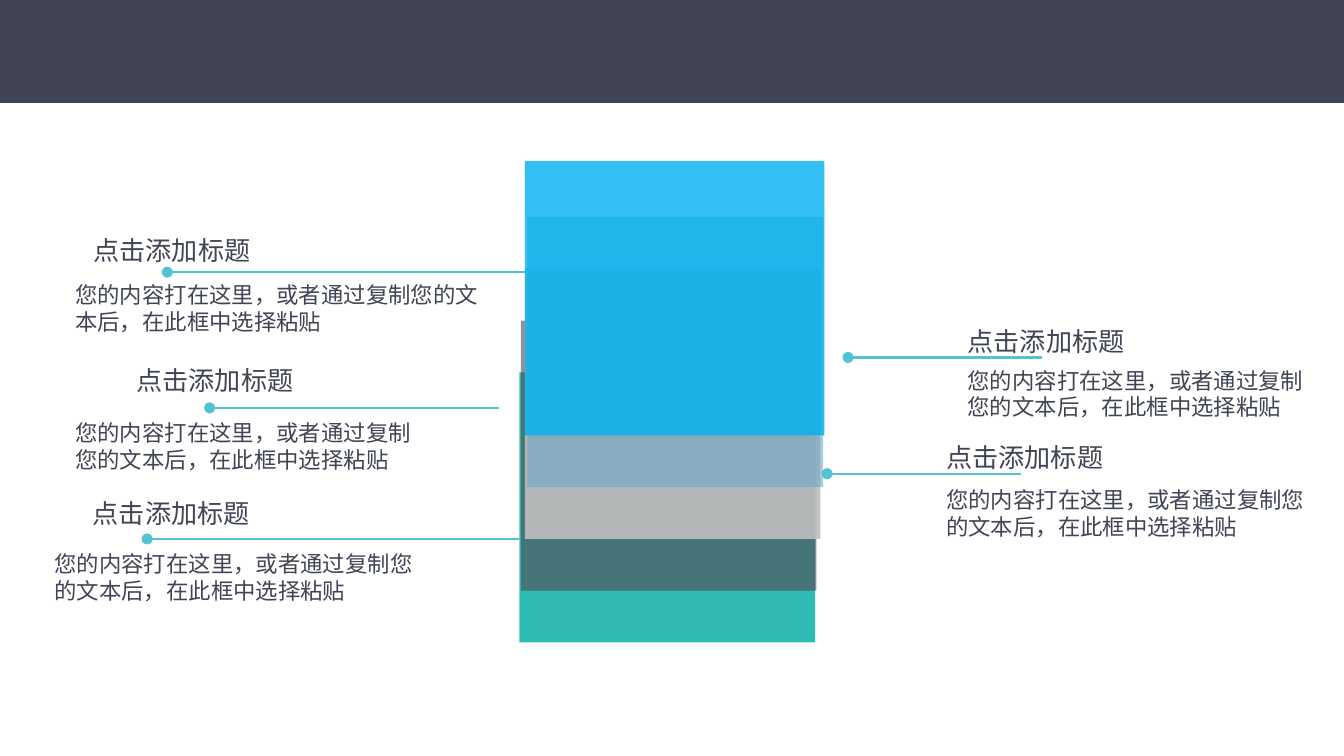
from lxml.etree import SubElement
from pptx import Presentation
from pptx.dml.color import RGBColor
from pptx.enum.shapes import MSO_CONNECTOR, MSO_SHAPE
from pptx.enum.text import MSO_AUTO_SIZE
from pptx.oxml.ns import qn
from pptx.util import Pt

PX = 4572  # EMU per px, 200 px to the inch
WIDTH, HEIGHT = 2000, 1125
FONT = "Noto Sans CJK SC"
INSET = 10

NAVY = RGBColor(0x41, 0x44, 0x55)
AQUA = RGBColor(0x54, 0xC3, 0xD1)
TEAL = RGBColor(0x30, 0xBA, 0xB4)
PLUM = RGBColor(0x53, 0x47, 0x51)
GREY = RGBColor(0xBF, 0xBF, 0xBF)
STEEL = RGBColor(0x64, 0xA4, 0xC7)
BLUE = RGBColor(0x00, 0xB0, 0xF0)

TITLE = "点击添加标题"
BODY = "您的内容打在这里，或者通过复制您的文本后，在此框中选择粘贴"
TITLE_H, BODY_H = 76, 114
TITLE_PT, BODY_PT = 14, 12

# left, top, width, height, colour, opacity in percent; back to front
PANELS = [
    (0, 0, WIDTH, 153, NAVY, 100),
    (773, 554, 440, 402, TEAL, 100),
    (775, 477, 440, 402, PLUM, 60),
    (781, 400, 440, 402, GREY, 90),
    (785, 323, 440, 402, STEEL, 55),
    (781, 240, 446, 408, BLUE, 80),
]

# title and body: left, top, width; line: start x, end x, y
CALLOUTS = [
    {"title": (129, 339, 368), "body": (102, 409, 628), "line": (249, 782, 405)},
    {"title": (1430, 474, 406), "body": (1430, 536, 546), "line": (1262, 1550, 532)},
    {"title": (1398, 647, 376), "body": (1398, 714, 578), "line": (1231, 1520, 705)},
    {"title": (193, 532, 334), "body": (102, 614, 542), "line": (312, 743, 607)},
    {"title": (128, 730, 368), "body": (71, 809, 574), "line": (219, 772, 802)},
]


def emu(*lengths):
    return [n * PX for n in lengths]


def add_panel(s, left, top, width, height, colour, opacity):
    sp = s.shapes.add_shape(MSO_SHAPE.RECTANGLE, *emu(left, top, width, height))
    sp.shadow.inherit = False
    sp.line.fill.background()
    sp.fill.solid()
    sp.fill.fore_color.rgb = colour
    if opacity < 100:
        clr = sp._element.spPr.find(qn("a:solidFill"))[0]
        SubElement(clr, qn("a:alpha"), val=str(opacity * 1000))


def add_text(s, text, left, top, width, height, size):
    tf = s.shapes.add_textbox(*emu(left, top, width, height)).text_frame
    frame_format = {"word_wrap": True, "auto_size": MSO_AUTO_SIZE.SHAPE_TO_FIT_TEXT}
    for side in ("left", "top", "right", "bottom"):
        frame_format[f"margin_{side}"] = INSET * PX
    for name, value in frame_format.items():
        setattr(tf, name, value)
    r = tf.paragraphs[0].add_run()
    r.text = text
    r.font.size = Pt(size)
    r.font.color.rgb = NAVY
    r.font.name = FONT
    SubElement(r.font._element, qn("a:ea"), typeface=FONT)


def add_leader(s, start, end, y):
    """Draw a level line with a dot at its start."""
    line = s.shapes.add_connector(MSO_CONNECTOR.STRAIGHT, *emu(start, y, end, y))
    line.line.color.rgb = AQUA
    line.line.width = Pt(1.25)
    spPr = line._element.spPr
    SubElement(spPr.find(qn("a:ln")), qn("a:headEnd"), type="oval")
    SubElement(spPr, qn("a:effectLst"))


def main():
    prs = Presentation()
    prs.slide_width, prs.slide_height = emu(WIDTH, HEIGHT)
    s = prs.slides.add_slide(prs.slide_layouts[6])
    for panel in PANELS:
        add_panel(s, *panel)
    for callout in CALLOUTS:
        add_leader(s, *callout["line"])
        add_text(s, BODY, *callout["body"], BODY_H, BODY_PT)
        add_text(s, TITLE, *callout["title"], TITLE_H, TITLE_PT)
    prs.save("out.pptx")


if __name__ == "__main__":
    main()
